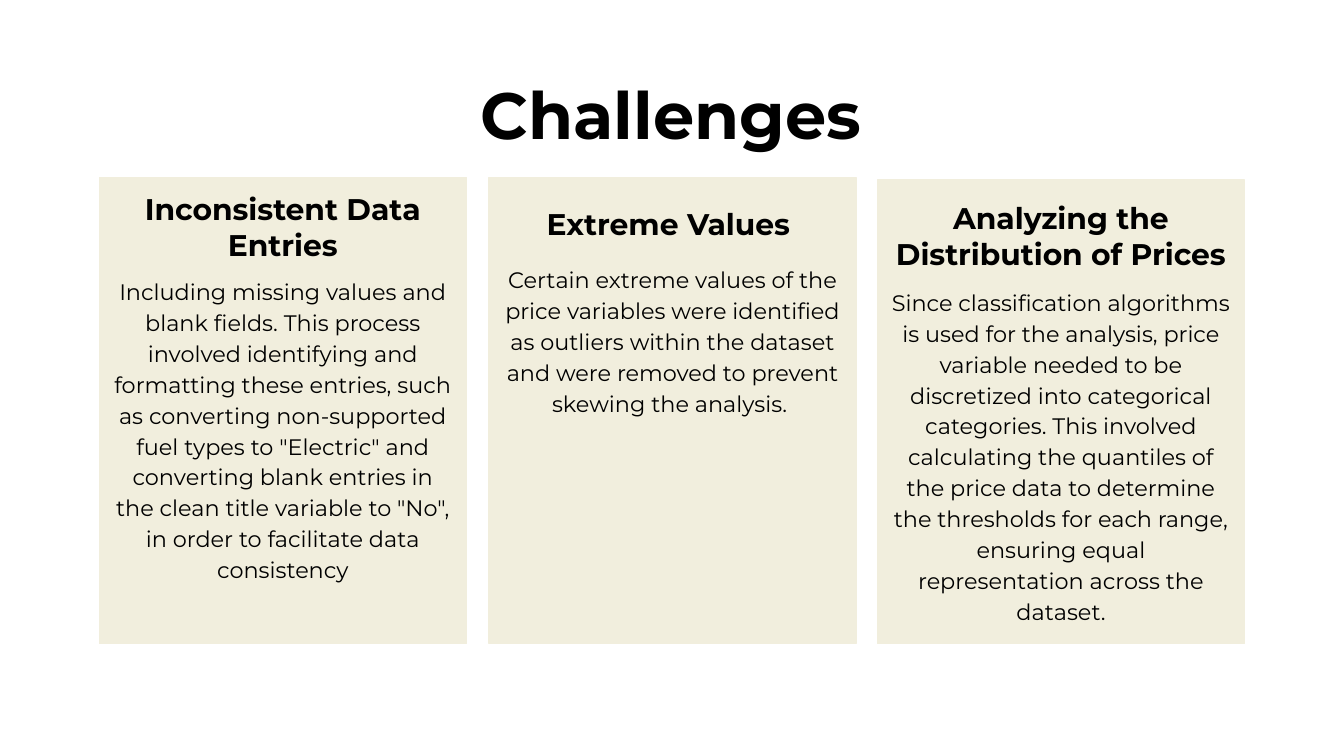
"""Build the Challenges slide: a title above three cards with heading and body."""
from pptx import Presentation
from pptx.dml.color import RGBColor
from pptx.enum.shapes import MSO_SHAPE
from pptx.enum.text import MSO_ANCHOR, MSO_AUTO_SIZE, PP_ALIGN
from pptx.util import Inches, Pt

RECTANGLE = MSO_SHAPE.RECTANGLE
TOP, MIDDLE, BOTTOM = MSO_ANCHOR.TOP, MSO_ANCHOR.MIDDLE, MSO_ANCHOR.BOTTOM
CENTER = PP_ALIGN.CENTER
NO_AUTOFIT = MSO_AUTO_SIZE.NONE

CARD_LEFTS = (0.74, 3.64, 6.53)
CARD_WIDTH, CARD_BOTTOM = 2.73, 4.79
HEADING_HEIGHT = 0.78


def color(hex_code):
    return RGBColor.from_string(hex_code)


def write(shape, text, size, bold=False, anchor=TOP, line_spacing=1.0,
          before=0, after=0):
    frame = shape.text_frame
    frame.word_wrap = True
    frame.auto_size = NO_AUTOFIT
    frame.vertical_anchor = anchor
    frame.margin_left = frame.margin_right = Inches(0.1)
    frame.margin_top = frame.margin_bottom = Inches(0.1)
    frame.text = text
    paragraph = frame.paragraphs[0]
    paragraph.alignment = CENTER
    paragraph.line_spacing = line_spacing
    paragraph.space_before = Pt(before)
    paragraph.space_after = Pt(after)
    paragraph.font.name = "Montserrat"
    paragraph.font.size = Pt(size)
    paragraph.font.bold = bold
    paragraph.font.color.rgb = color("000000")


challenges = [
    ("Inconsistent Data Entries", 1.32, 1.27, BOTTOM, 1.94, 2.29, 0, 0,
     "Including missing values and blank fields. This process involved "
     "identifying and formatting these entries, such as converting "
     'non-supported fuel types to "Electric" and converting blank entries in '
     'the clean title variable to "No", in order to facilitate data consistency'),
    ("Extreme Values ", 1.32, 1.27, MIDDLE, 1.85, 1.98, 12, 0,
     "Certain extreme values of the price variables were identified as "
     "outliers within the dataset and were removed to prevent skewing the "
     "analysis. "),
    ("Analyzing the Distribution of Prices", 1.34, 1.34, BOTTOM, 2.02, 3.01, 0, 12,
     "Since classification algorithms is used for the analysis, price variable "
     "needed to be discretized into categorical categories. This involved "
     "calculating the quantiles of the price data to determine the thresholds "
     "for each range, ensuring equal representation across the dataset."),
]

prs = Presentation()
prs.slide_width = Inches(10)
prs.slide_height = prs.slide_width * 9 // 16
slide = prs.slides.add_slide(prs.slide_layouts[5])
slide.background.fill.solid()
slide.background.fill.fore_color.rgb = color("FFFFFF")

title = slide.shapes.title
title.left, title.top = Inches(0.49), Inches(0.45)
title.width, title.height = Inches(9.01), Inches(0.61)
write(title, "Challenges", 35, bold=True)

width = Inches(CARD_WIDTH)
for card_left, (heading, card_top, heading_top, heading_anchor, body_top,
                body_height, before, after, body) in zip(CARD_LEFTS, challenges):
    left = Inches(card_left)
    card = slide.shapes.add_shape(RECTANGLE, left, Inches(card_top), width,
                                  Inches(CARD_BOTTOM - card_top))
    card.shadow.inherit = False
    card.fill.solid()
    card.fill.fore_color.rgb = color("F1EEDD")
    card.line.color.rgb = color("F1EEDD")
    card.line.width = Pt(0.75)

    body_box = slide.shapes.add_textbox(left, Inches(body_top), width,
                                        Inches(body_height))
    write(body_box, body, 12, line_spacing=1.15, before=before, after=after)

    heading_box = slide.shapes.add_textbox(left, Inches(heading_top), width,
                                           Inches(HEADING_HEIGHT))
    write(heading_box, heading, 16, bold=True, anchor=heading_anchor)

prs.save("out.pptx")
